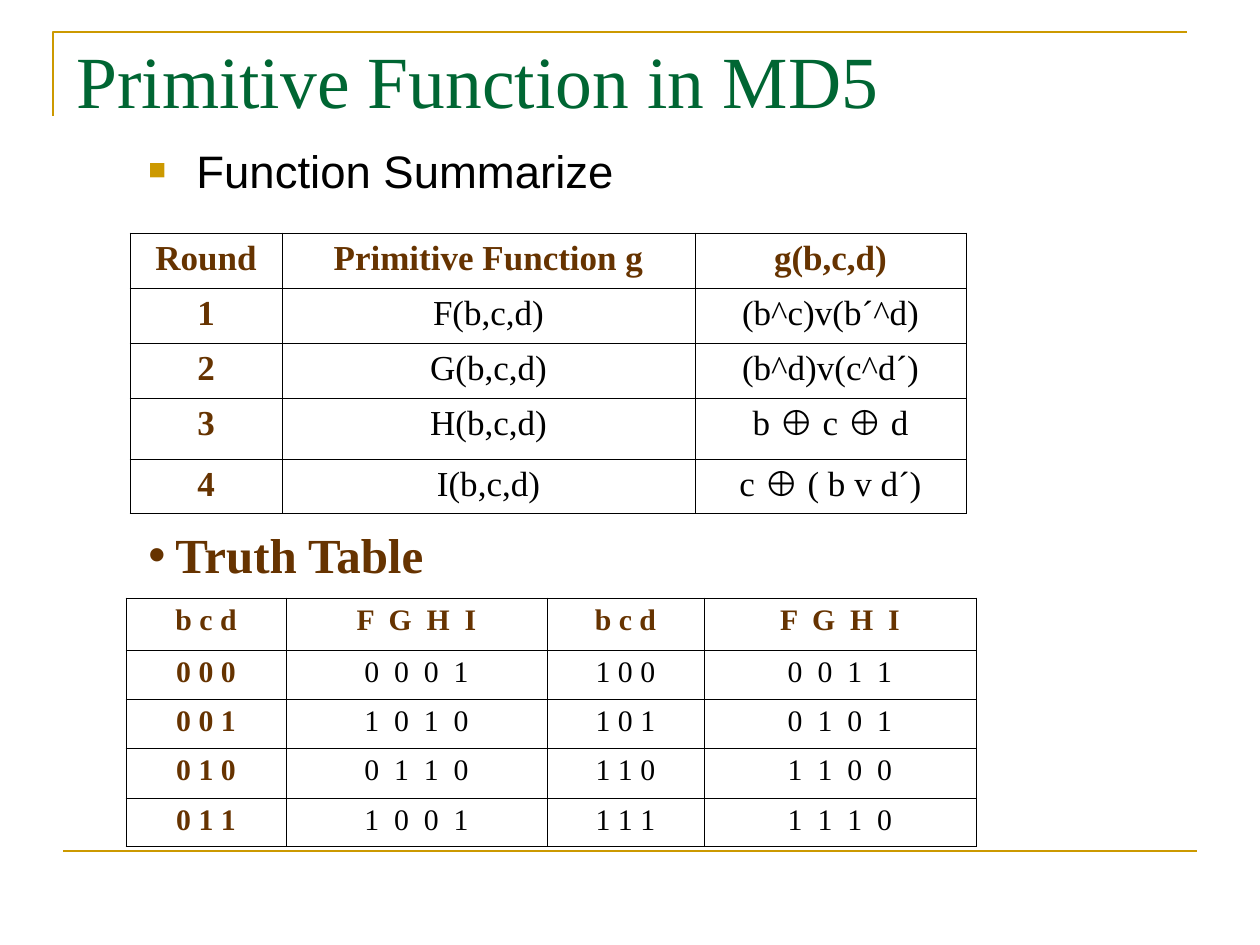
import dataclasses
import itertools

import lxml.etree
import pptx
import pptx.dml.color
import pptx.enum.shapes
import pptx.enum.text
import pptx.oxml.ns
import pptx.util

PX = 914400 / 126
SERIF = "Times New Roman"
SANS = "Arial"
COLORS = {"gold": "CC9900", "green": "006633", "brown": "663300", "black": "000000"}


@dataclasses.dataclass
class Style:
    size: int
    color: str
    font: str = SERIF
    bold: bool = False


@dataclasses.dataclass
class Bullet:
    char: str
    color: str
    indent: int
    percent: int = 100


@dataclasses.dataclass
class Label:
    text: str
    left: int
    top: int
    width: int
    height: int
    style: Style
    bullet: Bullet | None = None
    spacing: float = 1.0
    anchor: pptx.enum.text.MSO_ANCHOR = pptx.enum.text.MSO_ANCHOR.TOP


@dataclasses.dataclass
class Grid:
    left: int
    top: int
    columns: list[int]
    heights: list[int]
    size: int
    rows: list[list[str]]


def emu(pixels: int) -> pptx.util.Emu:
    return pptx.util.Emu(round(pixels * PX))


def rgb(name: str) -> pptx.dml.color.RGBColor:
    return pptx.dml.color.RGBColor.from_string(COLORS[name])


def add_element(parent, tag: str, **attributes: str):
    return lxml.etree.SubElement(parent, pptx.oxml.ns.qn(tag), attributes)


def add_color(parent, name: str) -> None:
    add_element(parent, "a:srgbClr", val=COLORS[name])


def add_span(para, text: str, style: Style) -> None:
    span = para.add_run()
    span.text = text
    span.font.name = style.font
    span.font.size = pptx.util.Pt(style.size)
    span.font.bold = style.bold
    span.font.color.rgb = rgb(style.color)


def add_bullet(para, bullet: Bullet) -> None:
    properties = para._p.get_or_add_pPr()
    properties.set("marL", str(emu(bullet.indent)))
    properties.set("indent", str(-emu(bullet.indent)))
    add_color(add_element(properties, "a:buClr"), bullet.color)
    add_element(properties, "a:buSzPct", val=str(bullet.percent * 1000))
    add_element(properties, "a:buFont", typeface=SANS)
    add_element(properties, "a:buChar", char=bullet.char)


def draw_label(page, label: Label) -> None:
    box = page.shapes.add_textbox(
        emu(label.left), emu(label.top), emu(label.width), emu(label.height)
    )
    frame = box.text_frame
    frame.word_wrap = True
    frame.vertical_anchor = label.anchor
    para = frame.paragraphs[0]
    if label.bullet:
        add_bullet(para, label.bullet)
    para.line_spacing = label.spacing
    add_span(para, label.text, label.style)


def draw_borders(cell) -> None:
    properties = cell._tc.get_or_add_tcPr()
    for side in ("a:lnL", "a:lnR", "a:lnT", "a:lnB"):
        border = add_element(properties, side, w=str(pptx.util.Pt(0.45)))
        add_color(add_element(border, "a:solidFill"), "black")


def draw_grid(page, grid: Grid) -> None:
    table = page.shapes.add_table(
        len(grid.heights), len(grid.columns), emu(grid.left), emu(grid.top),
        emu(sum(grid.columns)), emu(sum(grid.heights)),
    ).table
    table.first_row = False
    table.horz_banding = False
    for column, width in zip(table.columns, grid.columns):
        column.width = emu(width)
    for row, height in zip(table.rows, grid.heights):
        row.height = emu(height)
    for i, texts in enumerate(grid.rows):
        for j, text in enumerate(texts):
            cell = table.cell(i, j)
            draw_borders(cell)
            cell.fill.background()
            para = cell.text_frame.paragraphs[0]
            para.alignment = pptx.enum.text.PP_ALIGN.CENTER
            heading = i == 0 or j == 0
            color = "brown" if heading else "black"
            for symbol, letters in itertools.groupby(text, lambda letter: letter == "⊕"):
                font = SANS if symbol else SERIF
                add_span(para, "".join(letters), Style(grid.size, color, font, heading))


def set_rule_line(shape) -> None:
    shape.line.color.rgb = rgb("gold")
    shape.line.width = pptx.util.Pt(1.5)


def draw_frame(page) -> None:
    builder = page.shapes.build_freeform(53, 116, scale=PX)
    builder.add_line_segments([(53, 32), (1187, 32)], close=False)
    corner = builder.convert_to_shape()
    corner.shadow.inherit = False
    corner.fill.background()
    set_rule_line(corner)
    footer = page.shapes.add_connector(
        pptx.enum.shapes.MSO_CONNECTOR.STRAIGHT, emu(63), emu(851), emu(1197), emu(851)
    )
    set_rule_line(footer)
    add_element(footer._element.spPr, "a:effectLst")


def truth_row(*groups: str) -> list[str]:
    return [(" " if len(group) == 3 else "  ").join(group) for group in groups]


FUNCTIONS = Grid(130, 233, [152, 413, 271], [55, 55, 55, 61, 55], 20, [
    ["Round", "Primitive Function g", "g(b,c,d)"],
    ["1", "F(b,c,d)", "(b^c)v(b´^d)"],
    ["2", "G(b,c,d)", "(b^d)v(c^d´)"],
    ["3", "H(b,c,d)", "b ⊕ c ⊕ d"],
    ["4", "I(b,c,d)", "c ⊕ ( b v d´)"],
])
TRUTH = Grid(126, 598, [160, 261, 157, 272], [52, 49, 49, 50, 49], 17, [
    truth_row("bcd", "FGHI", "bcd", "FGHI"),
    truth_row("000", "0001", "100", "0011"),
    truth_row("001", "1010", "101", "0101"),
    truth_row("010", "0110", "110", "1100"),
    truth_row("011", "1001", "111", "1110"),
])
TITLE = Label(
    "Primitive Function in MD5", 64, 0, 1134, 158, Style(42, "green"),
    anchor=pptx.enum.text.MSO_ANCHOR.MIDDLE,
)
SUMMARY = Label(
    "Function Summarize", 136, 147, 829, 64, Style(26, "black", SANS),
    Bullet("■", "gold", 48, 65), 0.8,
)
TRUTH_HEADING = Label(
    "Truth Table", 136, 525, 809, 63, Style(28, "brown", bold=True),
    Bullet("•", "brown", 27), 0.9,
)


def main() -> None:
    deck = pptx.Presentation()
    deck.slide_width = emu(1260)
    deck.slide_height = emu(945)
    page = deck.slides.add_slide(deck.slide_layouts[6])
    draw_frame(page)
    draw_label(page, TITLE)
    draw_grid(page, FUNCTIONS)
    draw_label(page, SUMMARY)
    draw_grid(page, TRUTH)
    draw_label(page, TRUTH_HEADING)
    deck.save("out.pptx")


if __name__ == "__main__":
    main()
